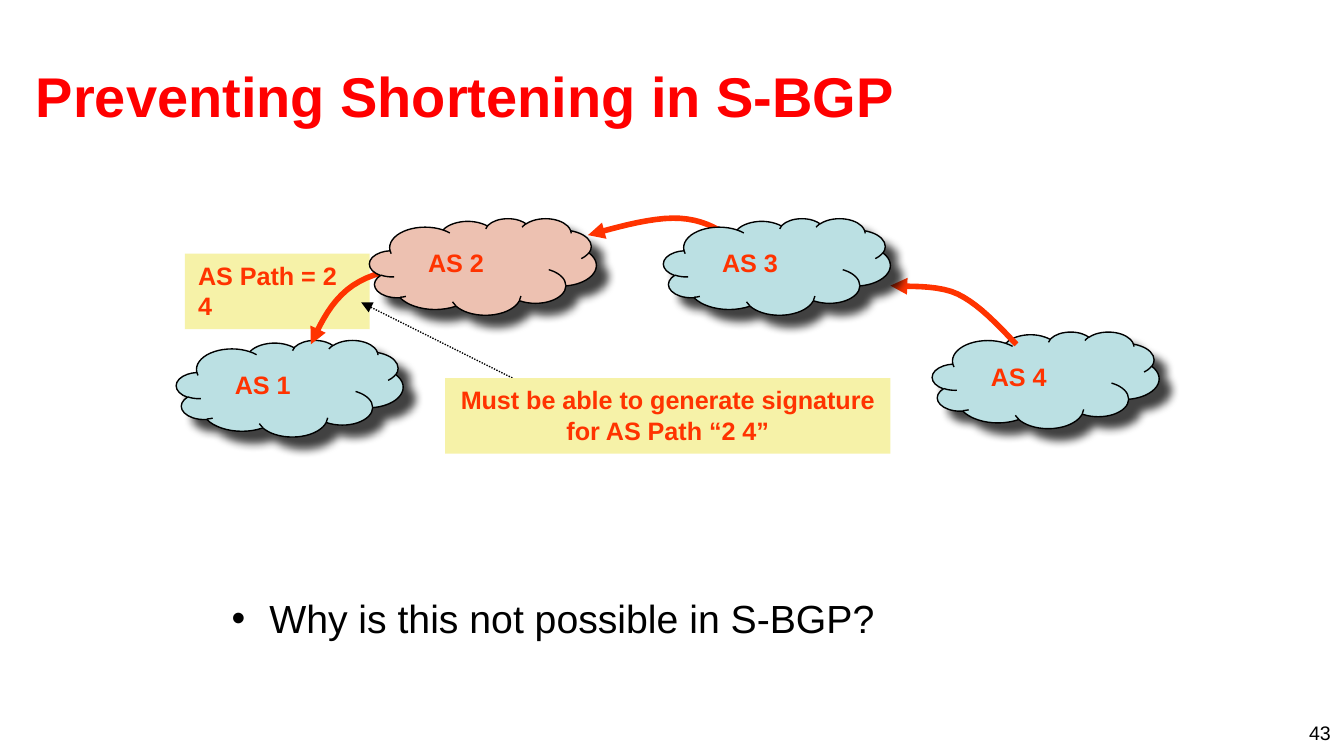
from lxml import etree
from pptx import Presentation
from pptx.dml.color import RGBColor
from pptx.enum import dml, shapes, text
from pptx.oxml import ns
from pptx.util import Emu, Inches, Pt

COLORS = {
    "title": "FF0000", "accent": "FF3300", "ink": "000000",
    "note": "F6F2A8", "cloud": "BBE0E3", "attacker": "EDC1B1",
}
# The slide is a grid of 160 columns by 90 rows
COLUMNS, ROWS = 160, 90
UNIT = Inches(10) // COLUMNS
CLOUD_SIZE = (27, 11.5)
LABEL_OFFSET, LABEL_SIZE = (6, 3), (8.6, 4.6)


def rgb(name):
    return RGBColor.from_string(COLORS[name])


def grid(*lengths):
    return [Emu(round(length * UNIT)) for length in lengths]


def within(box, column, row):
    return box[0] + column, box[1] + row


def add_xml(parent, tag, **attributes):
    child = etree.SubElement(parent, ns.qn(tag))
    for key, value in attributes.items():
        child.set(key, str(value))
    return child


def write(frame, words, size=13.5, color="accent", bold=True, align="LEFT",
          anchor="TOP", wrap=True, insets=(0.1, 0.05), bullet_indent=None):
    frame.word_wrap = wrap
    frame.vertical_anchor = getattr(text.MSO_ANCHOR, anchor)
    frame.margin_left = frame.margin_right = Inches(insets[0])
    frame.margin_top = frame.margin_bottom = Inches(insets[1])
    paragraph = frame.paragraphs[0]
    paragraph.alignment = getattr(text.PP_ALIGN, align)
    run = paragraph.add_run()
    run.text = words
    run.font.name, run.font.size, run.font.bold = "Arial", Pt(size), bold
    run.font.color.rgb = rgb(color)
    if bullet_indent:
        properties = paragraph._p.get_or_add_pPr()
        properties.set("marL", str(Inches(bullet_indent)))
        properties.set("indent", str(-Inches(bullet_indent)))
        add_xml(properties, "a:buFont", typeface="Arial")
        add_xml(properties, "a:buChar", char="•")


def add_words(slide, box, words, **style):
    write(slide.shapes.add_textbox(*grid(*box)).text_frame, words, **style)


def add_note(slide, box, words, **style):
    note = slide.shapes.add_shape(shapes.MSO_SHAPE.RECTANGLE, *grid(*box))
    note.shadow.inherit = False
    note.fill.solid()
    note.fill.fore_color.rgb = rgb("note")
    note.line.fill.background()
    write(note.text_frame, words, **style)


def add_cloud(slide, box, name, fill):
    cloud = slide.shapes.add_shape(shapes.MSO_SHAPE.CLOUD, *grid(*box))
    cloud.fill.solid()
    cloud.fill.fore_color.rgb = rgb(fill)
    cloud.line.color.rgb = rgb("ink")
    cloud.line.width = Pt(0.75)
    effects = add_xml(cloud._element.spPr, "a:effectLst")
    shadow = add_xml(effects, "a:outerShdw", blurRad=Pt(5), dist=Pt(8.5),
                     dir=45 * 60000, algn="ctr", rotWithShape=0)
    shade = add_xml(shadow, "a:srgbClr", val=COLORS["ink"])
    add_xml(shade, "a:alpha", val=75000)
    add_words(slide, within(box, *LABEL_OFFSET) + LABEL_SIZE, name,
              wrap=False, insets=(0.06, 0.03))


def style_arrow(arrow, color, width):
    arrow.line.color.rgb = rgb(color)
    arrow.line.width = Pt(width)
    add_xml(arrow.line._get_or_add_ln(), "a:tailEnd", type="triangle")


def bezier(start, first, second, end, steps=10):
    for step in range(1, steps + 1):
        t = step / steps
        weights = ((1 - t) ** 3, 3 * t * (1 - t) ** 2, 3 * t * t * (1 - t), t ** 3)
        corners = zip(start, first, second, end)
        yield tuple(sum(w * c for w, c in zip(weights, axis)) for axis in corners)


def add_route(slide, box, points):
    points = [within(box, *point) for point in points]
    curve = [*bezier(*points[:4]), *bezier(*points[3:])]
    builder = slide.shapes.build_freeform(*grid(*points[0]))
    builder.add_line_segments([grid(*point) for point in curve], close=False)
    route = builder.convert_to_shape()
    route.shadow.inherit = False
    route.fill.background()
    style_arrow(route, "accent", 3)


def add_pointer(slide, box, start, end):
    pointer = slide.shapes.add_connector(
        shapes.MSO_CONNECTOR.STRAIGHT,
        *grid(*within(box, *start), *within(box, *end)))
    pointer.line.dash_style = dml.MSO_LINE.ROUND_DOT
    style_arrow(pointer, "ink", 0.75)
    add_xml(pointer._element.spPr, "a:effectLst")


def add_diagram(slide, box):
    def cloud(name, column, row, fill="cloud"):
        add_cloud(slide, within(box, column, row) + CLOUD_SIZE, name, fill)

    # Announced path and the two outer networks
    add_note(slide, within(box, 2, 6.2) + (22, 9), "AS Path = 2 4")
    cloud("AS 4", 91, 15.5)
    cloud("AS 1", 1, 16.5)

    # Announcements: 4 to 3, 3 to 2, 2 to 1
    routes = (
        ((101, 17), (98.7, 14.6), (96.5, 12.2), (94, 11),
         (91.5, 9.8), (87.4, 10.2), (86, 10)),
        ((68, 5), (66, 3.5), (64, 2.2), (61, 2),
         (58, 1.8), (54, 2.9), (50, 4)),
        ((32, 7), (28.3, 7.7), (24.5, 8.3), (22, 10),
         (19.5, 11.7), (18.2, 14.4), (17, 17)),
    )
    for points in routes:
        add_route(slide, box, points)

    # Inner networks cover the route ends
    cloud("AS 2", 24, 2, "attacker")
    cloud("AS 3", 59, 2)

    # Requirement pointing at the announced path
    add_pointer(slide, box, (41, 21), (23, 12))
    add_note(slide, within(box, 33, 21) + (53, 9),
             "Must be able to generate signature for AS Path “2 4”", align="CENTER")


def main():
    deck = Presentation()
    deck.slide_width, deck.slide_height = grid(COLUMNS, ROWS)
    slide = deck.slides.add_slide(deck.slide_layouts[6])

    # Title, question and page number
    add_words(slide, (2.7, 3.8, 153.3, 15), "Preventing Shortening in S-BGP",
              size=30, color="title", anchor="MIDDLE")
    add_words(slide, (26, 70, 108, 10.4), "Why is this not possible in S-BGP?",
              size=21, color="ink", bold=False, bullet_indent=0.28)
    add_words(slide, (122.7, 85, 37.3, 3), "43",
              size=10.5, color="ink", bold=False, align="RIGHT")

    # Network diagram
    add_diagram(slide, (20, 24, 120, 32))
    deck.save("out.pptx")


if __name__ == "__main__":
    main()
